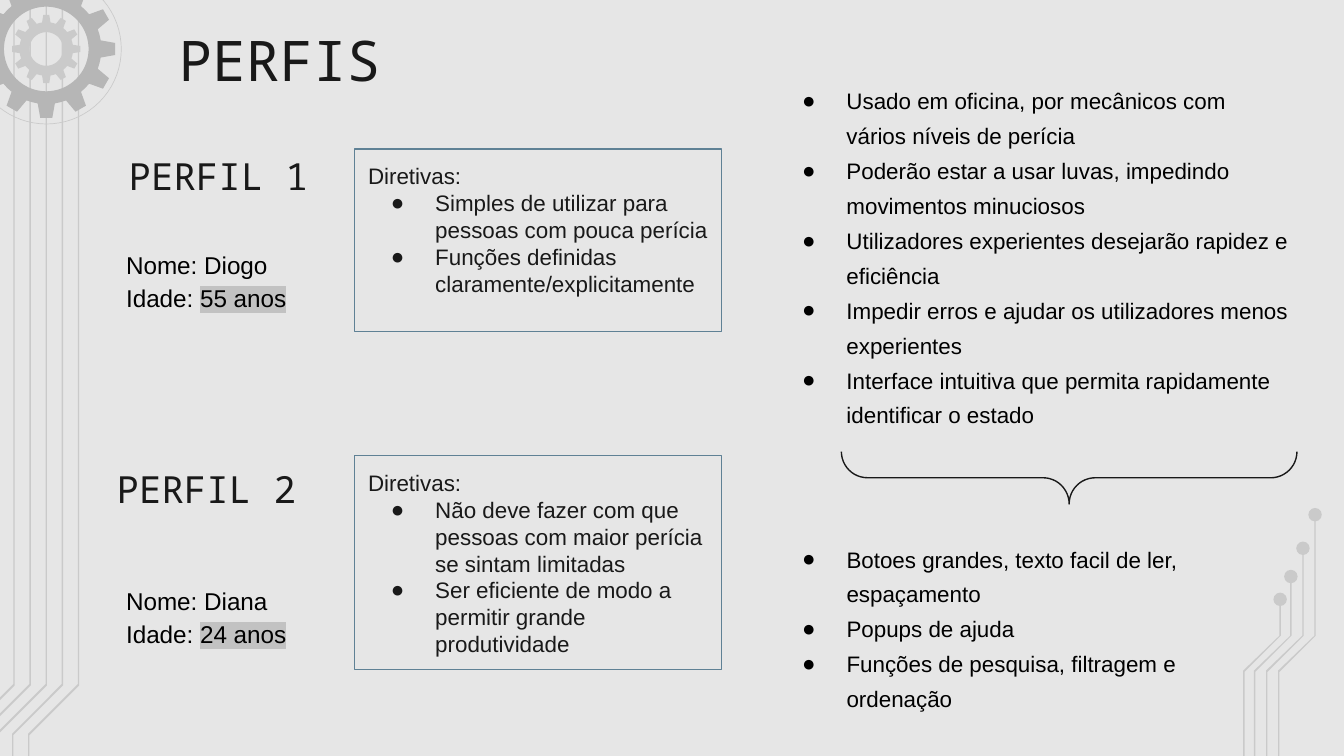
from dataclasses import dataclass
from math import cos, radians, sin

from lxml import etree
from pptx import Presentation
from pptx.dml import color
from pptx.enum import shapes, text
from pptx.oxml import ns
from pptx.util import Pt

SCALE = 4572
WIDTH, HEIGHT = 2000, 1125


@dataclass(frozen=True)
class Theme:
    background: str = "E6E6E6"
    trace: str = "CACACA"
    gear: str = "B6B6B6"
    ink: str = "191919"
    black: str = "000000"
    frame: str = "5F8195"
    highlight: str = "C2C2C2"
    body_font: str = "Arial"
    title_font: str = "Noto Sans Mono"
    title_size: int = 30
    heading_size: int = 20
    person_size: int = 13
    list_size: int = 12
    line_width: float = 0.75


THEME = Theme()
TITLE = dict(size=THEME.title_size, name=THEME.title_font, color=THEME.ink)
HEADING = dict(TITLE, size=THEME.heading_size)
PERSON = dict(size=THEME.person_size, name=THEME.body_font, color=THEME.black)
LIST = dict(PERSON, size=THEME.list_size)
GUIDELINE = dict(LIST, color=THEME.ink)


def px(value):
    return round(value * SCALE)


def rgb(value):
    return color.RGBColor.from_string(value)


def add_mark(parent, tag, **attributes):
    return etree.SubElement(parent, ns.qn(tag), attributes)


def paint(shape, fill=None, line=None):
    shape.shadow.inherit = False
    if fill:
        shape.fill.solid()
        shape.fill.fore_color.rgb = rgb(fill)
    else:
        shape.fill.background()
    if line:
        shape.line.color.rgb = rgb(line)
        shape.line.width = Pt(THEME.line_width)
    else:
        shape.line.fill.background()


def prepare_frame(shape, anchor=text.MSO_ANCHOR.TOP):
    settings = dict(word_wrap=True, vertical_anchor=anchor, auto_size=text.MSO_AUTO_SIZE.NONE)
    for side in ("left", "top", "right", "bottom"):
        settings[f"margin_{side}"] = px(20)
    for name, value in settings.items():
        setattr(shape.text_frame, name, value)
    return shape.text_frame


def add_span(para, words, style, highlight=None):
    span = para.add_run()
    span.text = words
    for name, value in dict(size=Pt(style["size"]), name=style["name"]).items():
        setattr(span.font, name, value)
    span.font.color.rgb = rgb(style["color"])
    if highlight:
        mark = etree.Element(ns.qn("a:highlight"))
        add_mark(mark, "a:srgbClr", val=highlight)
        span.font._element.find(ns.qn("a:solidFill")).addnext(mark)


def next_para(frame, spacing=1.0):
    first = frame.paragraphs[0]
    para = frame.add_paragraph() if first.runs else first
    para.alignment = text.PP_ALIGN.LEFT
    para.line_spacing = spacing
    return para


def add_item(frame, words, style, spacing=1.0, bullet=True):
    para = next_para(frame, spacing)
    props = para._p.get_or_add_pPr()
    props.set("marL", str(px(100)))
    props.set("indent", str(px(-66 if bullet else 0)))
    if bullet:
        add_mark(add_mark(props, "a:buClr"), "a:srgbClr", val=style["color"])
        add_mark(props, "a:buFont", typeface=THEME.body_font)
        add_mark(props, "a:buChar", char="●")
    add_span(para, words, style)


def add_box(page, box):
    return page.shapes.add_textbox(*map(px, box))


def circle(radius):
    return [(radius * cos(radians(a)), radius * sin(radians(a))) for a in range(0, 360, 5)]


def cog(tip, root):
    corners = ((root, -9), (tip, -5), (tip, 5), (root, 9), (root, 15))
    return [(r * sin(radians(tooth + a)), r * cos(radians(tooth + a)))
            for tooth in range(0, 360, 30) for r, a in corners]


def add_outline(page, left, top, fill, *contours):
    builder = None
    for contour in contours:
        points = [(px(left + x), px(top + y)) for x, y in contour]
        if builder is None:
            builder = page.shapes.build_freeform(*points[0], scale=1.0)
        else:
            builder.move_to(*points[0])
        builder.add_line_segments(points[1:], close=True)
    paint(builder.convert_to_shape(), fill)


def draw_left_traces(page, left, top):
    outline = [(0, 1146), (74, 1072), (74, 0), (76, 0), (76, 1074), (2, 1148),
               (2, 1468), (168, 1636), (168, 2040), (166, 2040), (166, 1636), (0, 1470)]
    for index in range(5):
        add_outline(page, left - 24 * index, top, THEME.trace, outline)


def draw_right_traces(page, left, top):
    for x, start, end in ((52, 0, 364), (34, 50, 378), (16, 92, 396), (0, 126, 416)):
        add_outline(page, left + x, top, THEME.trace,
                    [(0, end), (2, end - 2), (2, 234), (56, 180), (56, start),
                     (54, start), (54, 180), (0, 232)])
        dot = page.shapes.add_shape(
            shapes.MSO_SHAPE.OVAL, *map(px, (left + x + 45, top + start - 10, 20, 20)))
        paint(dot, THEME.trace)


def draw_gears(page, left, top):
    add_outline(page, left, top, THEME.trace, cog(51, 40), circle(25))
    add_outline(page, left, top, THEME.gear, cog(103, 82), circle(63))
    add_outline(page, left, top, THEME.trace, circle(112), circle(111))


def place_title(page, box, words):
    title = page.shapes.title
    for name, value in zip(("left", "top", "width", "height"), box):
        setattr(title, name, px(value))
    add_span(next_para(prepare_frame(title)), words, TITLE)


def place_profile(page, box, heading, heading_box, person_top, name, age, guidelines):
    left, top, width, height = box
    x, y, w = heading_box
    frame = prepare_frame(add_box(page, (left + x, top + y, w, 92)), text.MSO_ANCHOR.BOTTOM)
    add_span(next_para(frame), heading, HEADING)

    frame = prepare_frame(add_box(page, (left + 14, top + person_top, 286, 148)))
    add_span(next_para(frame, 1.15), f"Nome: {name}", PERSON)
    para = next_para(frame, 1.15)
    add_span(para, "Idade: ", PERSON)
    add_span(para, age, PERSON, THEME.highlight)

    panel = page.shapes.add_shape(
        shapes.MSO_SHAPE.RECTANGLE, *map(px, (left + 374, top, width - 374, height)))
    paint(panel, line=THEME.frame)
    frame = prepare_frame(panel)
    add_span(next_para(frame), "Diretivas:", GUIDELINE)
    for words, bullet in guidelines:
        add_item(frame, words, GUIDELINE, bullet=bullet)


def place_list(page, box, items):
    frame = prepare_frame(add_box(page, box))
    for words in items:
        add_item(frame, words, LIST, 1.3)


def place_brace(page, box):
    left, top, width, height = box
    brace = page.shapes.add_shape(
        shapes.MSO_SHAPE.RIGHT_BRACE,
        *map(px, (left + (width - height) / 2, top + (height - width) / 2, height, width)))
    brace.rotation = 90
    brace.adjustments[0] = 0.5
    brace.adjustments[1] = 0.5
    paint(brace, line=THEME.ink)


def main():
    deck = Presentation()
    deck.slide_width, deck.slide_height = px(WIDTH), px(HEIGHT)
    page = deck.slides.add_slide(deck.slide_layouts[5])
    page.background.fill.solid()
    page.background.fill.fore_color.rgb = rgb(THEME.background)
    draw_left_traces(page, 42, -54)
    draw_right_traces(page, 1850, 766)
    draw_gears(page, 69, 73)
    place_title(page, (246, 18, 800, 126), "PERFIS")
    place_profile(page, (154, 222, 920, 272), "PERFIL 1", (18, 0, 314), 124,
                  "Diogo", "55 anos",
                  [("Simples de utilizar para", True), ("pessoas com pouca perícia", False),
                   ("Funções definidas", True), ("claramente/explicitamente", False)])
    place_profile(page, (154, 678, 920, 318), "PERFIL 2", (0, 10, 326), 168,
                  "Diana", "24 anos",
                  [("Não deve fazer com que pessoas com maior perícia se sintam limitadas", True),
                   ("Ser eficiente de modo a permitir grande produtividade", True)])
    place_list(page, (1140, 98, 800, 520), [
        "Usado em oficina, por mecânicos com vários níveis de perícia",
        "Poderão estar a usar luvas, impedindo movimentos minuciosos",
        "Utilizadores experientes desejarão rapidez e eficiência",
        "Impedir erros e ajudar os utilizadores menos experientes",
        "Interface intuitiva que permita rapidamente identificar o estado"])
    place_brace(page, (1252, 672, 678, 78))
    place_list(page, (1140, 780, 756, 304), [
        "Botoes grandes, texto facil de ler, espaçamento",
        "Popups de ajuda",
        "Funções de pesquisa, filtragem e ordenação"])
    deck.save("out.pptx")


if __name__ == "__main__":
    main()
